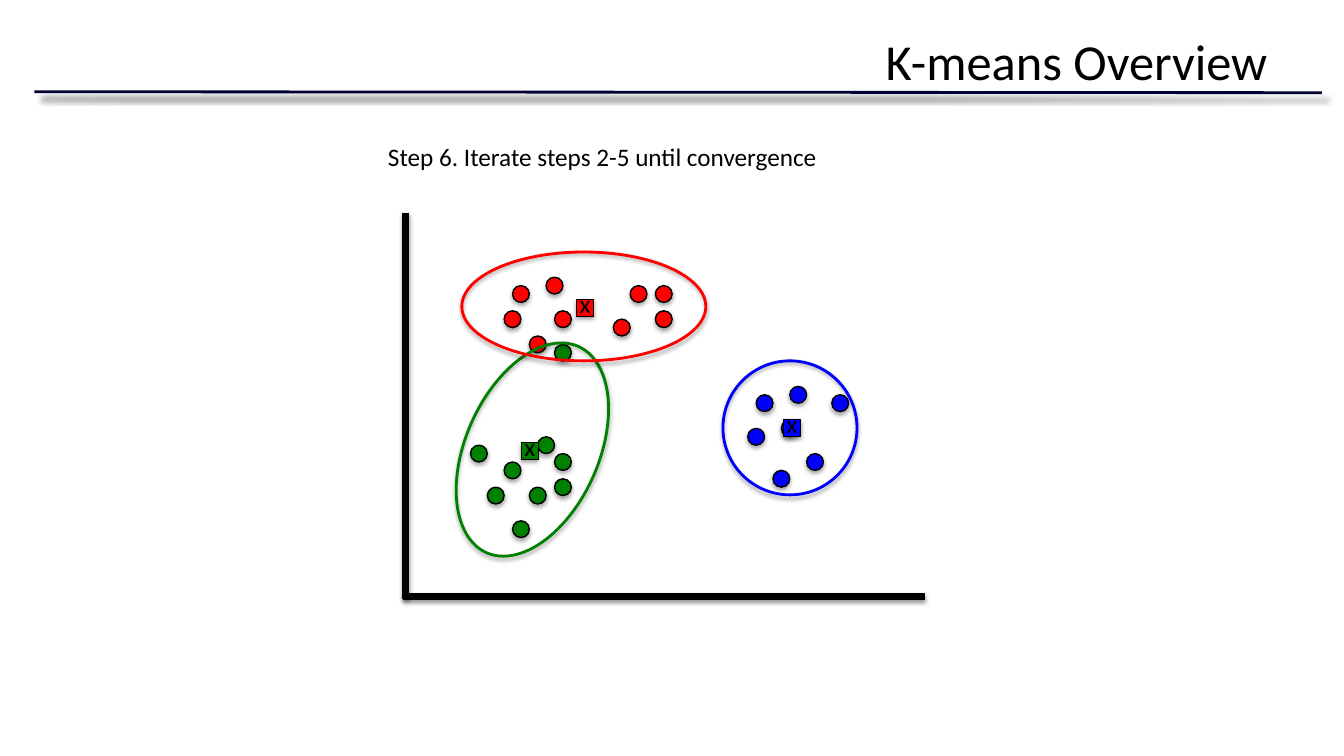
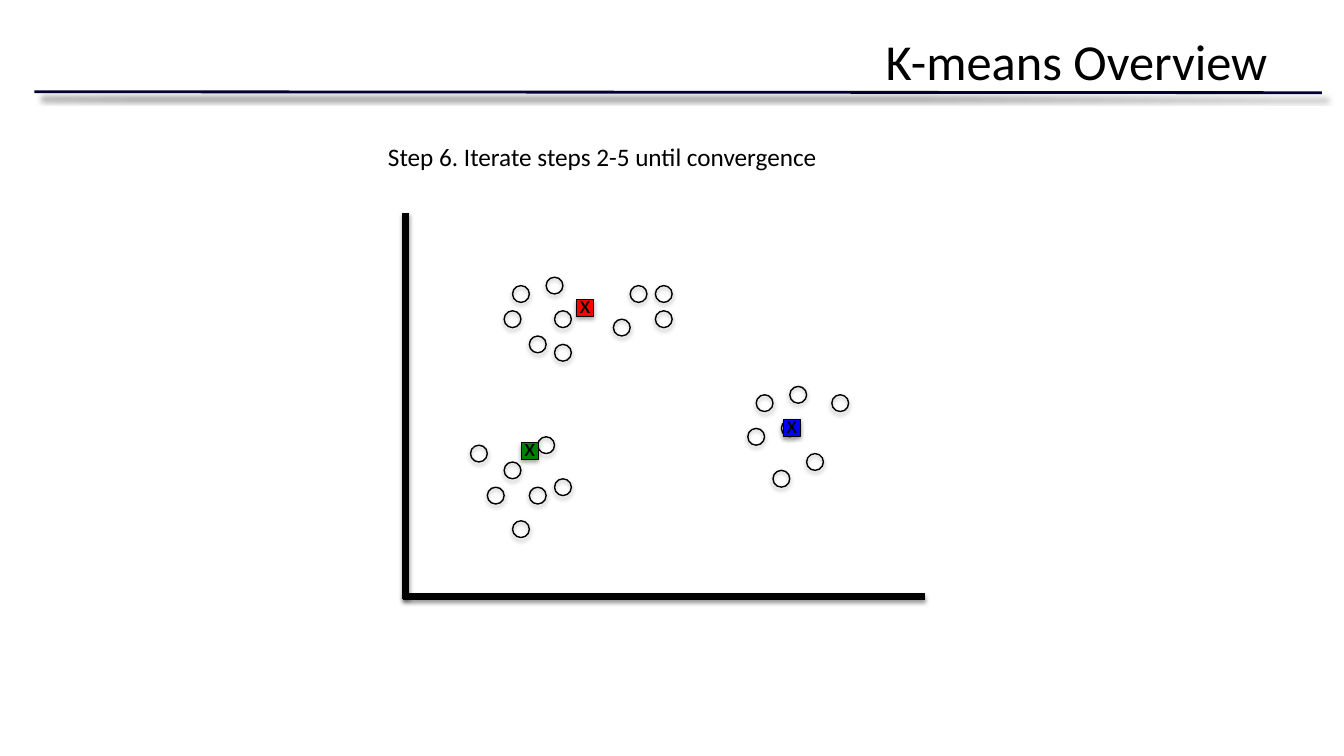
from lxml import etree
from pptx import Presentation
from pptx.dml.color import RGBColor
from pptx.enum.shapes import MSO_CONNECTOR, MSO_SHAPE
from pptx.enum.text import MSO_ANCHOR, MSO_AUTO_SIZE, PP_ALIGN
from pptx.oxml.ns import qn
from pptx.util import Inches, Pt

# Shared style
COLORS = {"black": "000000", "navy": "000033", "red": "FF0000",
          "green": "008000", "blue": "0000FF"}
FONT = "Calibri"
# Shadow: opacity in percent, blur and distance in points, angle in degrees
RULE_SHADOW = (50, 4, 6, 45)
AXIS_SHADOW = (38, 3.1, 1.6, 90)
MARK_SHADOW = (35, 3.1, 1.8, 90)

# Content
TITLE = "K-means Overview"
STEP = "Step 6. Iterate steps 2-5 until convergence"
TITLE_RULE = (0.34, 0.91, 13.11, 0.92)
AXES = [(4.02, 2.11, 4.02, 5.94), (9.17, 5.92, 4, 5.92)]

# Data points: left and top in grid steps of 1/12 inch
GRID = 1 / 12
MARK_SIZE = 2 * GRID
POINTS = {
    "red": [(65, 33), (60, 37), (75, 34), (66, 37), (63, 40), (73, 38),
            (78, 34), (61, 34), (78, 37)],
    "blue": [(90, 47), (89, 51), (94, 46), (93, 50), (92, 56), (96, 54),
             (99, 47)],
    "green": [(66, 41), (60, 55), (63, 58), (58, 58), (61, 62), (56, 53),
              (64, 52), (66, 57)],
}
ASSIGNED_ONLY_POINTS = {"green": [(66, 54)]}
# Cluster outlines: left, top, width, height, rotation
CLUSTERS = {
    "green": (4.62, 3.34, 1.32, 2.24, 24),
    "red": (5.25, 1.83, 1.08, 2.42, 90),
    "blue": (7.17, 3.58, 1.33, 1.33, 90),
}
CENTROIDS = {"green": (5.17, 4.39), "red": (5.72, 2.97), "blue": (7.77, 4.16)}
SLIDES = [{"assigned": True}, {"assigned": False}]


def rgb(name):
    return RGBColor.from_string(COLORS[name])


def add_shadow(shape, opacity, blur, distance, angle):
    effects = etree.SubElement(shape._element.spPr, qn("a:effectLst"))
    shadow = etree.SubElement(
        effects, qn("a:outerShdw"), blurRad=str(int(Pt(blur))),
        dist=str(int(Pt(distance))), dir=str(angle * 60000),
        algn="ctr", rotWithShape="0")
    color = etree.SubElement(shadow, qn("a:srgbClr"), val=COLORS["black"])
    etree.SubElement(color, qn("a:alpha"), val=str(opacity * 1000))


def add_line(shapes, ends, color, width, shadow):
    line = shapes.add_connector(MSO_CONNECTOR.STRAIGHT, *map(Inches, ends))
    line.line.color.rgb = rgb(color)
    line.line.width = Pt(width)
    add_shadow(line, *shadow)


def add_mark(shapes, kind, box, fill, line, width):
    mark = shapes.add_shape(kind, *map(Inches, box))
    if fill:
        mark.fill.solid()
        mark.fill.fore_color.rgb = rgb(fill)
    else:
        mark.fill.background()
    mark.line.color.rgb = rgb(line)
    mark.line.width = Pt(width)
    add_shadow(mark, *MARK_SHADOW)
    return mark


def add_text(shapes, box, text, size, wrap=False, align=PP_ALIGN.LEFT):
    text_box = shapes.add_textbox(*map(Inches, box))
    frame = text_box.text_frame
    frame.word_wrap = wrap
    frame.auto_size = (MSO_AUTO_SIZE.NONE if wrap
                       else MSO_AUTO_SIZE.SHAPE_TO_FIT_TEXT)
    paragraph = frame.paragraphs[0]
    paragraph.alignment = align
    run = paragraph.add_run()
    run.text = text
    run.font.name = FONT
    run.font.size = Pt(size)
    run.font.color.rgb = rgb("black")
    return frame


def add_points(shapes, points, assigned):
    for color, places in points.items():
        for column, row in places:
            box = (column * GRID, row * GRID, MARK_SIZE, MARK_SIZE)
            add_mark(shapes, MSO_SHAPE.OVAL, box,
                     color if assigned else None, "black", 1)


def add_centroid(shapes, color, left, top):
    group = shapes.add_group_shape().shapes
    add_mark(group, MSO_SHAPE.RECTANGLE, (left, top, MARK_SIZE, MARK_SIZE),
             color, "black", 0.75)
    frame = add_text(group, (left + 0.03, top - 0.11, 0.11, 0.3), "x", 18)
    frame.vertical_anchor = MSO_ANCHOR.MIDDLE
    frame.margin_left = frame.margin_right = 0
    frame.margin_top = frame.margin_bottom = 0


def build_slide(presentation, assigned):
    shapes = presentation.slides.add_slide(presentation.slide_layouts[6]).shapes

    # Title and step label
    add_line(shapes, TITLE_RULE, "navy", 2, RULE_SHADOW)
    add_text(shapes, (0.67, 0.25, 12, 1.25), TITLE, 36, True, PP_ALIGN.RIGHT)
    add_text(shapes, (3.75, 1.35, 4.53, 0.4), STEP, 18)

    # Axes
    axes = shapes.add_group_shape().shapes
    for ends in AXES:
        add_line(axes, ends, "black", 5, AXIS_SHADOW)

    # Points, cluster outlines and centroids
    add_points(shapes, POINTS, assigned)
    if assigned:
        for color, (*box, rotation) in CLUSTERS.items():
            outline = add_mark(shapes, MSO_SHAPE.OVAL, box, None, color, 2)
            outline.rotation = rotation
        add_points(shapes, ASSIGNED_ONLY_POINTS, assigned)
    for color, (left, top) in CENTROIDS.items():
        add_centroid(shapes, color, left, top)


def main():
    presentation = Presentation()
    presentation.slide_width = Inches(13.33)
    presentation.slide_height = Inches(7.5)
    for slide in SLIDES:
        build_slide(presentation, **slide)
    presentation.save("out.pptx")


if __name__ == "__main__":
    main()
